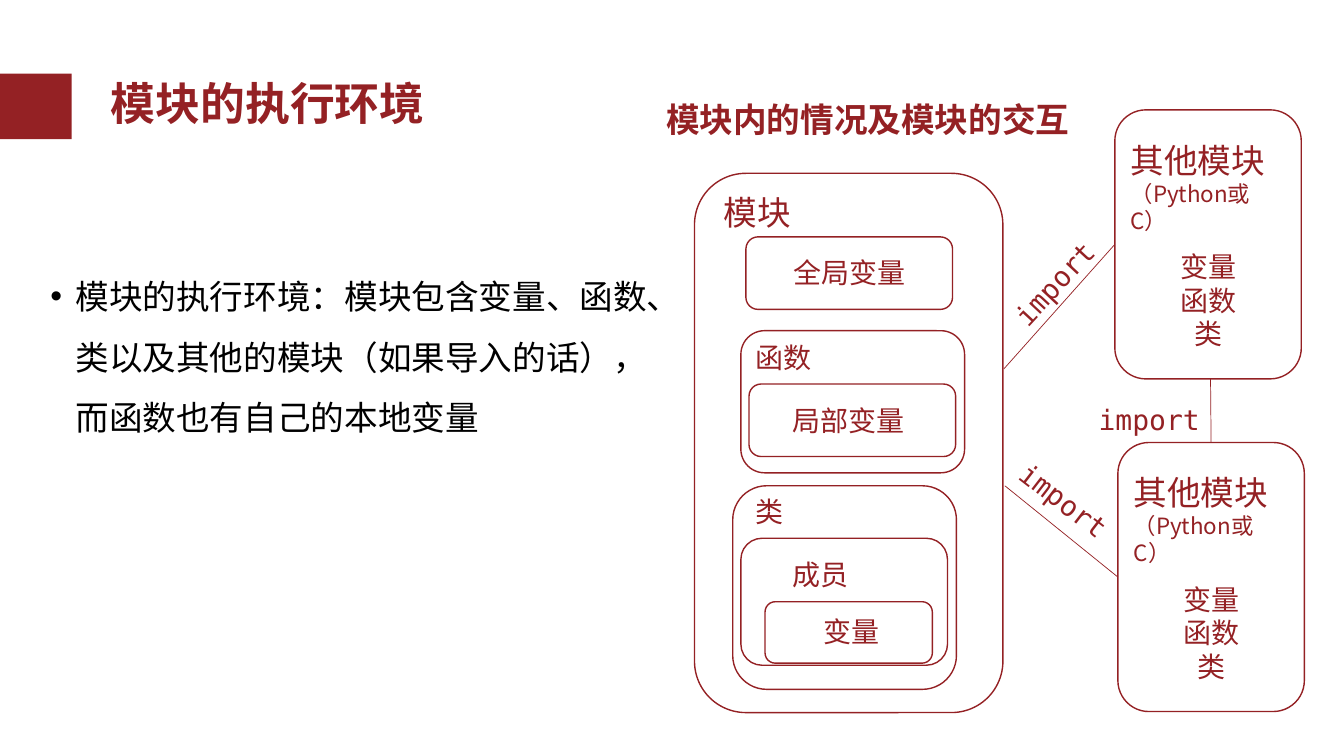
from lxml.etree import SubElement
from pptx import Presentation
from pptx.dml.color import RGBColor
from pptx.enum.shapes import MSO_CONNECTOR, MSO_SHAPE
from pptx.enum.text import MSO_ANCHOR, MSO_AUTO_SIZE, PP_ALIGN
from pptx.oxml.ns import qn
from pptx.util import Pt

COLORS = {"red": "942124", "black": "000000"}
SANS, MONO = "Noto Sans CJK SC", "DejaVu Sans Mono"
RED = RGBColor.from_string(COLORS["red"])


def add_run(paragraph, text, size, color="red", bold=False, font=SANS):
    run = paragraph.add_run()
    run.text = text
    run.font.size = Pt(size)
    run.font.bold = bold
    run.font.name = font
    run.font.color.rgb = RGBColor.from_string(COLORS[color])
    SubElement(run.font._element, qn("a:ea"), typeface=font)


def add_label(box, lines, align=PP_ALIGN.LEFT, font=SANS, rotation=0, wrap=False):
    shape = slide.shapes.add_textbox(*map(Pt, box))
    shape.rotation = rotation
    frame = shape.text_frame
    frame.word_wrap = wrap
    for index, (text, size) in enumerate(lines):
        paragraph = frame.add_paragraph() if index else frame.paragraphs[0]
        paragraph.alignment = align
        add_run(paragraph, text, size, font=font)


presentation = Presentation()
presentation.slide_width, presentation.slide_height = Pt(960), Pt(540)
slide = presentation.slides.add_slide(presentation.slide_layouts[1])

# Title, body and diagram heading
title, body = slide.placeholders
heading = slide.shapes.add_textbox(Pt(468.7), Pt(52.6), Pt(445.7), Pt(51.8))
title.left, title.top, title.width, title.height = map(Pt, (72, 45.4, 828, 61.2))
body.left, body.top, body.width, body.height = map(Pt, (28.8, 179.3, 445.7, 351.4))
texts = [
    (title, "模块的执行环境", 32, "red", True, 0.9, MSO_ANCHOR.MIDDLE),
    (body, "模块的执行环境：模块包含变量、函数、类以及其他的模块（如果导入的话），而函数也有自己的本地变量",
     24, "black", False, 1.5, MSO_ANCHOR.TOP),
    (heading, "模块内的情况及模块的交互", 24, "red", True, 1.5, MSO_ANCHOR.TOP),
]
for shape, text, size, color, bold, spacing, anchor in texts:
    frame = shape.text_frame
    frame.word_wrap = True
    frame.auto_size = MSO_AUTO_SIZE.NONE
    frame.vertical_anchor = anchor
    paragraph = frame.paragraphs[0]
    paragraph.alignment = PP_ALIGN.LEFT
    paragraph.line_spacing = spacing
    paragraph.space_before = Pt(0)
    add_run(paragraph, text, size, color, bold)

# Bullet of the body
properties = body.text_frame.paragraphs[0]._p.get_or_add_pPr()
properties.set("marL", str(Pt(18)))
properties.set("indent", str(Pt(-18)))
SubElement(properties, qn("a:buFont"), typeface="Arial")
SubElement(properties, qn("a:buChar"), char="•")

# Red bar beside the title
bar = slide.shapes.add_shape(MSO_SHAPE.RECTANGLE, Pt(0), Pt(52.6), Pt(51.1), Pt(46.8))
bar.shadow.inherit = False
bar.fill.solid()
bar.fill.fore_color.rgb = RED
bar.line.fill.background()

# Outlined boxes: the module with its parts, then the two other modules
boxes = [
    (496.1, 123.8, 220.3, 385.2),
    (532.8, 169.2, 147.6, 51.8),
    (535, 274.3, 147.6, 51.8),
    (529.2, 236.2, 159.8, 101.5),
    (529.2, 384.5, 147.6, 90.7),
    (523.4, 347, 159.8, 145.4),
    (546.5, 429.8, 119.5, 43.9),
    (796.3, 78.5, 133.2, 192.2),
    (798.5, 316.1, 133.2, 192.2),
]
outlines = []
for box in boxes:
    outline = slide.shapes.add_shape(MSO_SHAPE.ROUNDED_RECTANGLE, *map(Pt, box))
    outline.shadow.inherit = False
    outline.fill.background()
    outline.line.color.rgb = RED
    outline.line.width = Pt(1)
    outlines.append(outline)
upper_module, lower_module = outlines[-2:]

# Labels inside the module
module_labels = [
    ("模块", 24, 509.8, 133.2, 63.4),
    ("全局变量", 20, 559.4, 179.3, 95),
    ("局部变量", 20, 558.7, 284.4, 95),
    ("函数", 20, 532.8, 239.8, 54.7),
    ("成员", 20, 558.7, 394.6, 54.7),
    ("类", 20, 532.8, 349.9, 34.6),
    ("变量", 20, 581, 435.6, 54.7),
]
for text, size, left, top, width in module_labels:
    add_label((left, top, width, size * 1.5 + 1.7), [(text, size)])

# Labels inside the other modules
for left, top, width, height in boxes[-2:]:
    add_label((left + 4.3, top + 17.7, 125.3, 55.4),
              [("其他模块", 24), ("（Python或C）", 16)], wrap=True)
    add_label((left + 39.6, top + 96.2, 54.7, 79.9),
              [("变量", 20), ("函数", 20), ("类", 20)], PP_ALIGN.CENTER)

# Import lines and their labels
imports = [
    (717.1, 263.5, upper_module, 1, 709.9, 186.5, 312.9),
    (717.8, 347, lower_module, 1, 716.4, 342, 37.6),
    (864.7, 270.7, lower_module, 0, 777.6, 283.7, 0),
]
for start_x, start_y, target, site, left, top, rotation in imports:
    line = slide.shapes.add_connector(
        MSO_CONNECTOR.STRAIGHT, Pt(start_x), Pt(start_y), Pt(start_x), Pt(start_y))
    line.end_connect(target, site)
    line.line.color.rgb = RED
    line.line.width = Pt(0.5)
    SubElement(line._element.spPr, qn("a:effectLst"))
    add_label((left, top, 87.1, 31.7), [("import", 20)], font=MONO, rotation=rotation)

presentation.save("out.pptx")
